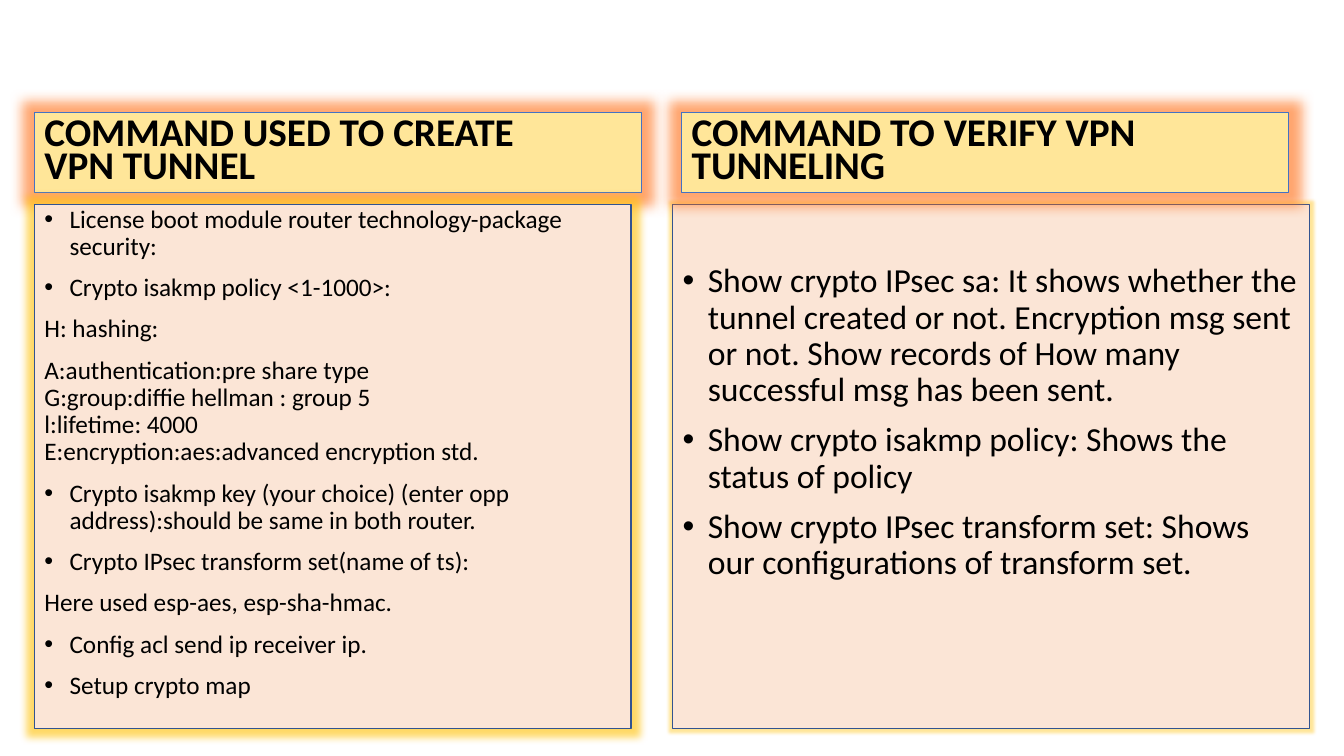
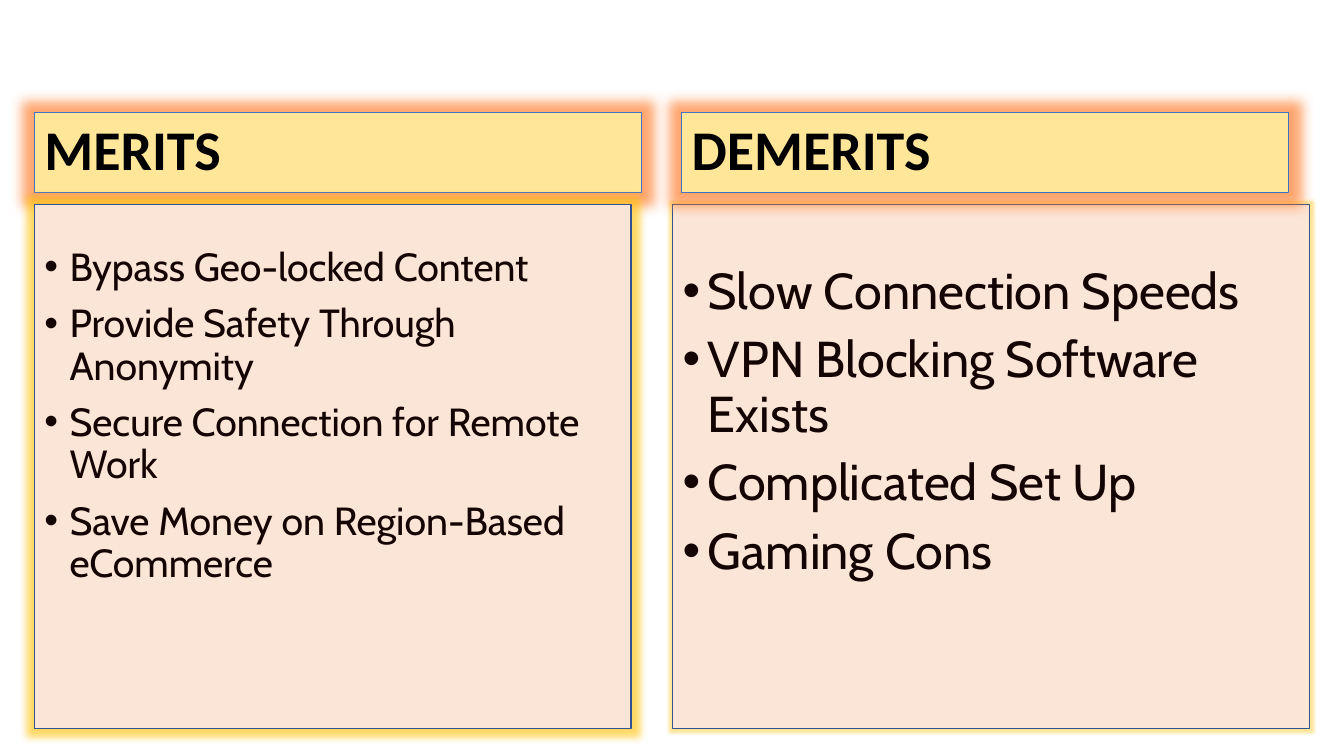
import pptx
import pptx.dml.color
import pptx.enum.text
import pptx.oxml.ns
import pptx.util
from lxml import etree

Inches, Pt = pptx.util.Inches, pptx.util.Pt
qn = pptx.oxml.ns.qn

# A string is a bulleted item; a tuple holds the lines of an unbulleted one.
SLIDES = [
    {
        "header": {"size": 28, "spacing": 0.7},
        "body": {"font": "Calibri", "color": "000000"},
        "left": {
            "title": ("COMMAND USED TO CREATE", "VPN TUNNEL"),
            "size": 18,
            "bottom": 0.32,
            "items": [
                "License boot module router technology-package security:",
                "Crypto isakmp policy <1-1000>:",
                ("H: hashing:",),
                (
                    "A:authentication:pre share type",
                    "G:group:diffie hellman : group 5",
                    "l:lifetime: 4000",
                    "E:encryption:aes:advanced encryption std.",
                ),
                "Crypto isakmp key (your choice) (enter opp address):should be same in both router.",
                "Crypto IPsec transform set(name of ts):",
                ("Here used esp-aes, esp-sha-hmac.",),
                "Config acl send ip receiver ip.",
                "Setup crypto map",
            ],
        },
        "right": {
            "title": ("COMMAND TO VERIFY VPN TUNNELING",),
            "size": 24,
            "bottom": 0.92,
            "items": [
                "Show crypto IPsec sa: It shows whether the tunnel created or not. "
                "Encryption msg sent or not. Show records of How many successful msg has been sent.",
                "Show crypto isakmp policy: Shows the status of policy",
                "Show crypto IPsec transform set: Shows our configurations of transform set.",
            ],
        },
    },
    {
        "header": {"size": 40, "spacing": 0.9},
        "body": {"font": "Cabin", "color": "150404"},
        "left": {
            "title": ("MERITS",),
            "size": 28,
            "bottom": 1.04,
            "items": [
                "Bypass Geo-locked Content",
                "Provide Safety Through Anonymity",
                "Secure Connection for Remote Work",
                "Save Money on Region-Based eCommerce",
            ],
        },
        "right": {
            "title": ("DEMERITS",),
            "size": 36,
            "bottom": 0.92,
            "items": [
                "Slow Connection Speeds",
                "VPN Blocking Software Exists",
                "Complicated Set Up",
                "Gaming Cons",
            ],
        },
    },
]

HEADER = {"fill": "FFE699", "line": "4472C4", "width": 0.75, "glow": ("FF6B10", 18, 60)}
PANEL = {"fill": "FBE5D6", "line": "325491", "width": 1}
LEFT_PANEL = {**PANEL, "glow": ("FFC000", 11, 60)}
RIGHT_PANEL = {**PANEL, "glow": ("FFC000", 5, 40)}

LEFT_X = 0.34
HEADER_TOP, HEADER_W, HEADER_H = 1.12, 6.02, 0.79
PANEL_TOP, PANEL_H = 2.03, 5.2

# Back to front: side, part, placeholder index, box, style
PARTS = [
    ("right", "items", 4, (6.67, PANEL_TOP, 6.32, PANEL_H), RIGHT_PANEL),
    ("right", "title", 3, (6.76, HEADER_TOP, HEADER_W, HEADER_H), HEADER),
    ("left", "title", 1, (LEFT_X, HEADER_TOP, HEADER_W, HEADER_H), HEADER),
    ("left", "items", 2, (LEFT_X, PANEL_TOP, 5.92, PANEL_H), LEFT_PANEL),
]
COMPARISON_LAYOUT = 4


def rgb(value):
    return pptx.dml.color.RGBColor.from_string(value)


def add_glow(sp, color, radius, opacity):
    sp.shadow.inherit = False
    effects = sp._element.spPr.find(qn("a:effectLst"))
    glow = etree.SubElement(effects, qn("a:glow"), rad=str(Pt(radius)))
    clr = etree.SubElement(glow, qn("a:srgbClr"), val=color)
    etree.SubElement(clr, qn("a:alpha"), val=str(opacity * 1000))


def style_box(sp, box, style):
    sp.left, sp.top, sp.width, sp.height = map(Inches, box)
    sp.fill.solid()
    sp.fill.fore_color.rgb = rgb(style["fill"])
    sp.line.color.rgb = rgb(style["line"])
    sp.line.width = Pt(style["width"])
    add_glow(sp, *style["glow"])
    tf = sp.text_frame
    tf.word_wrap = True
    tf.auto_size = pptx.enum.text.MSO_AUTO_SIZE.NONE
    tf.vertical_anchor = pptx.enum.text.MSO_ANCHOR.MIDDLE


def set_bullet(p, bulleted):
    pPr = p._p.get_or_add_pPr()
    indent = Inches(0.25) if bulleted else 0
    pPr.set("marL", str(indent))
    pPr.set("indent", str(-indent))
    if bulleted:
        etree.SubElement(pPr, qn("a:buFont"), typeface="Arial")
        etree.SubElement(pPr, qn("a:buChar"), char="•")
    else:
        etree.SubElement(pPr, qn("a:buNone"))


def write_items(tf, items, size, font="Calibri", color="000000",
                bold=False, spacing=0.9, before=10):
    for i, item in enumerate(items):
        p = tf.add_paragraph() if i else tf.paragraphs[0]
        p.alignment = pptx.enum.text.PP_ALIGN.LEFT
        p.line_spacing = spacing
        p.space_before = Pt(before)
        bulleted = isinstance(item, str)
        set_bullet(p, bulleted)
        for n, line in enumerate([item] if bulleted else item):
            if n:
                p.add_line_break()
            r = p.add_run()
            r.text = line
            r.font.name = font
            r.font.size = Pt(size)
            r.font.bold = bold
            r.font.color.rgb = rgb(color)


def build_slide(prs, content):
    s = prs.slides.add_slide(prs.slide_layouts[COMPARISON_LAYOUT])
    tree = s.shapes._spTree
    boxes = {sp.placeholder_format.idx: sp for sp in s.placeholders}
    for sp in boxes.values():
        tree.remove(sp._element)
    for side, part, idx, box, style in PARTS:
        sp, column = boxes[idx], content[side]
        tree.append(sp._element)
        style_box(sp, box, style)
        tf = sp.text_frame
        if part == "title":
            write_items(tf, [column["title"]], bold=True, before=0, **content["header"])
        else:
            tf.margin_bottom = Inches(column["bottom"])
            write_items(tf, column["items"], column["size"], **content["body"])


def main():
    prs = pptx.Presentation()
    prs.slide_width, prs.slide_height = Inches(13.33), Inches(7.5)
    for content in SLIDES:
        build_slide(prs, content)
    prs.save("out.pptx")


if __name__ == "__main__":
    main()
